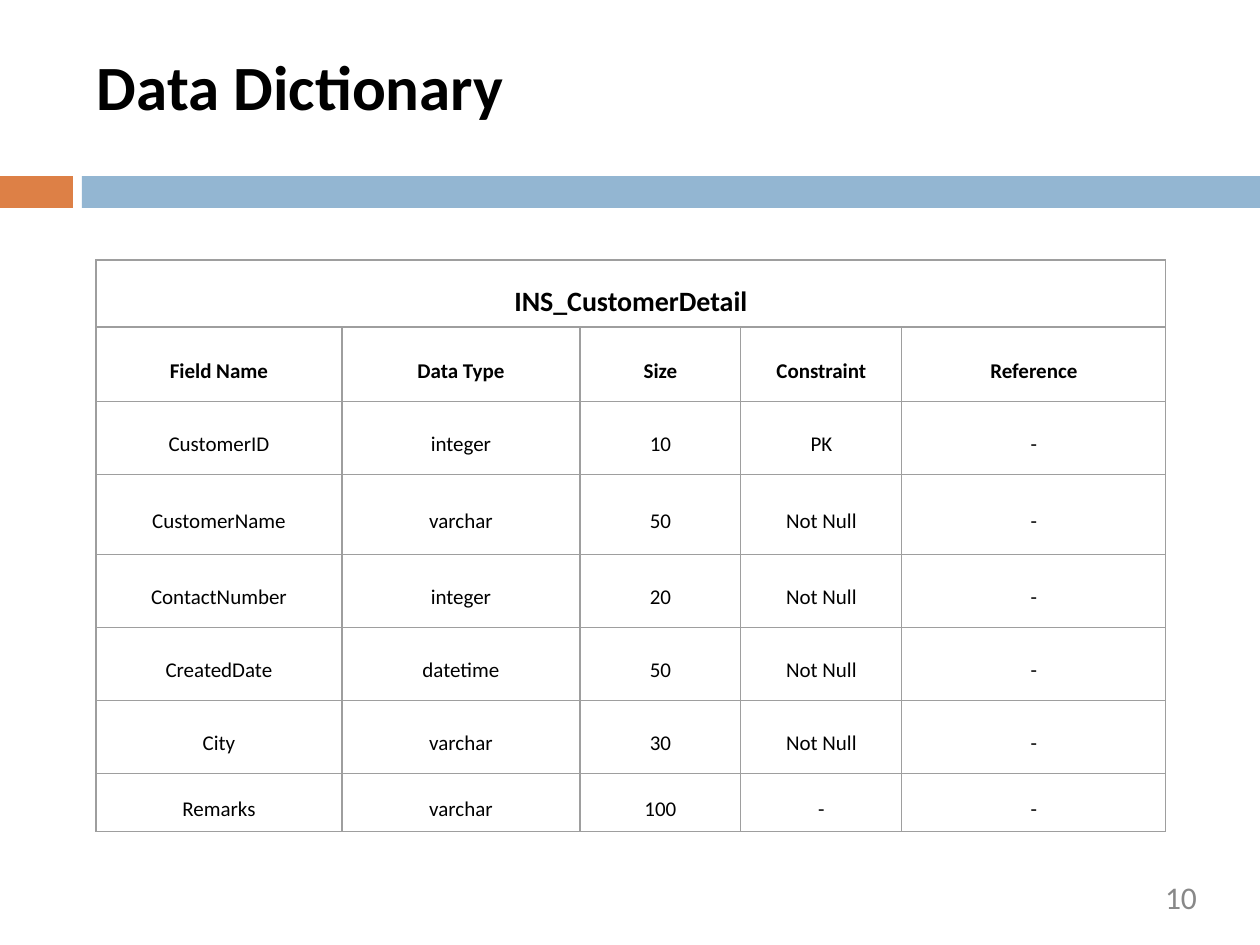
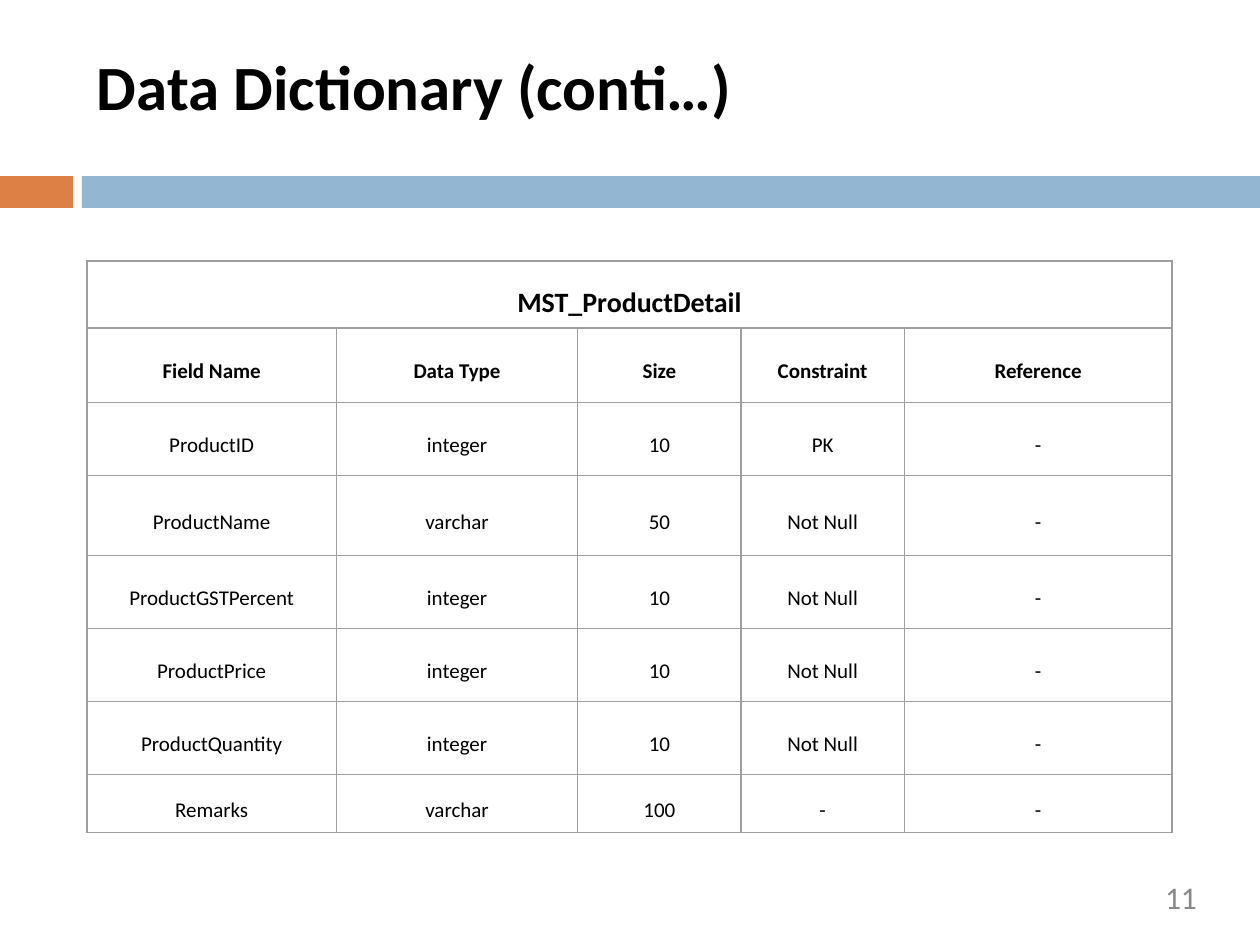
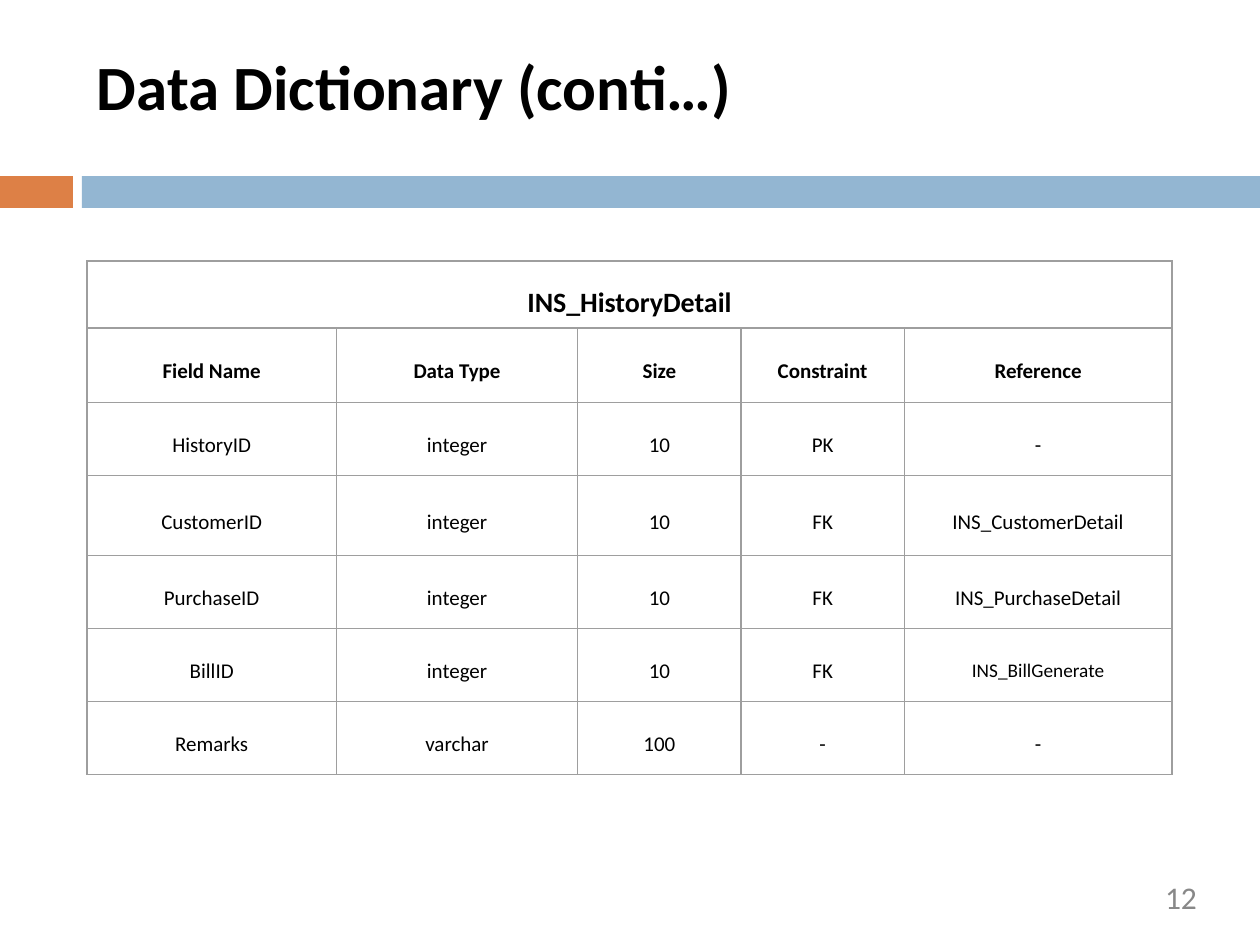
import pptx
import pptx.dml.color
import pptx.enum.shapes
import pptx.enum.text
import pptx.oxml
import pptx.oxml.ns
import pptx.util

PX = 914400 / 126
PAGE_WIDTH, PAGE_HEIGHT = 1260, 945
FONT = "Calibri"
BLACK = pptx.dml.color.RGBColor(0x00, 0x00, 0x00)
GRAY = pptx.dml.color.RGBColor(0x88, 0x88, 0x88)
ORANGE = pptx.dml.color.RGBColor(0xDD, 0x80, 0x46)
BLUE = pptx.dml.color.RGBColor(0x93, 0xB6, 0xD2)
BORDER = pptx.dml.color.RGBColor(0x9E, 0x9E, 0x9E)
ALIGN = pptx.enum.text.PP_ALIGN
ANCHOR = pptx.enum.text.MSO_ANCHOR

TITLE_BOX = (96, 47, 697, 87)
NUMBER_BOX = (907, 878, 290, 48)
BANDS = [((0, 176, 73, 32), ORANGE), ((82, 176, 1178, 32), BLUE)]
COLUMN_SHARES = (246, 238, 161, 161, 264)
ROW_HEIGHTS = (67, 75, 73, 80, 73, 73, 73, 58)
HEADINGS = ("Field Name", "Data Type", "Size", "Constraint", "Reference")
TEXT_SIZES = {"INS_BillGenerate": 11}

# Slide title, page number, table left, top and width, table name, fields
PAGES = [
    ("Data Dictionary", 10, (96, 260, 1070), "INS_CustomerDetail", [
        ("CustomerID", "integer", "10", "PK", "-"),
        ("CustomerName", "varchar", "50", "Not Null", "-"),
        ("ContactNumber", "integer", "20", "Not Null", "-"),
        ("CreatedDate", "datetime", "50", "Not Null", "-"),
        ("City", "varchar", "30", "Not Null", "-"),
        ("Remarks", "varchar", "100", "-", "-"),
    ]),
    ("Data Dictionary (conti…)", 11, (87, 261, 1085), "MST_ProductDetail", [
        ("ProductID", "integer", "10", "PK", "-"),
        ("ProductName", "varchar", "50", "Not Null", "-"),
        ("ProductGSTPercent", "integer", "10", "Not Null", "-"),
        ("ProductPrice", "integer", "10", "Not Null", "-"),
        ("ProductQuantity", "integer", "10", "Not Null", "-"),
        ("Remarks", "varchar", "100", "-", "-"),
    ]),
    ("Data Dictionary (conti…)", 12, (87, 261, 1085), "INS_HistoryDetail", [
        ("HistoryID", "integer", "10", "PK", "-"),
        ("CustomerID", "integer", "10", "FK", "INS_CustomerDetail"),
        ("PurchaseID", "integer", "10", "FK", "INS_PurchaseDetail"),
        ("BillID", "integer", "10", "FK", "INS_BillGenerate"),
        ("Remarks", "varchar", "100", "-", "-"),
    ]),
]


def emu(*lengths):
    return [pptx.util.Emu(round(length * PX)) for length in lengths]


def write(frame, text, size, color=BLACK, bold=False, align=ALIGN.LEFT):
    para = frame.paragraphs[0]
    para.alignment = align
    span = para.add_run()
    span.text = text
    span.font.name = FONT
    span.font.size = pptx.util.Pt(size)
    span.font.bold = bold
    span.font.color.rgb = color
    return para


def set_frame(frame, margin_left=0, margin_top=0):
    frame.word_wrap = True
    frame.auto_size = pptx.enum.text.MSO_AUTO_SIZE.NONE
    frame.vertical_anchor = ANCHOR.TOP
    frame.margin_left, frame.margin_top = emu(margin_left, margin_top)
    frame.margin_right = frame.margin_bottom = 0


def add_bands(page):
    for place, color in BANDS:
        band = page.shapes.add_shape(
            pptx.enum.shapes.MSO_SHAPE.RECTANGLE, *emu(*place))
        band.shadow.inherit = False
        band.fill.solid()
        band.fill.fore_color.rgb = color
        band.line.fill.background()


def set_title(page, text):
    title = page.shapes.title
    title.left, title.top, title.width, title.height = emu(*TITLE_BOX)
    set_frame(title.text_frame, 1, 1)
    write(title.text_frame, text, 36, bold=True)


def add_number(page, number):
    box = page.shapes.add_textbox(*emu(*NUMBER_BOX))
    set_frame(box.text_frame)
    write(box.text_frame, str(number), 18, GRAY, align=ALIGN.RIGHT)


def style_cell(cell, margin):
    cell.margin_left, cell.margin_right = emu(margin, margin)
    cell.margin_top = cell.margin_bottom = 0
    cell.vertical_anchor = ANCHOR.MIDDLE
    properties = cell._tc.get_or_add_tcPr()
    for side in ("lnL", "lnR", "lnT", "lnB"):
        properties.append(pptx.oxml.parse_xml(
            f'<a:{side} {pptx.oxml.ns.nsdecls("a")} w="{pptx.util.Pt(0.75)}">'
            f'<a:solidFill><a:srgbClr val="{BORDER}"/></a:solidFill></a:{side}>'))
    cell.fill.background()


def add_dictionary(page, place, name, fields):
    left, top, width = place
    rows = [(name, "", "", "", ""), HEADINGS, *fields]
    heights = ROW_HEIGHTS[:len(rows)]
    table = page.shapes.add_table(
        len(rows), len(HEADINGS), *emu(left, top, width, sum(heights))).table
    table.first_row = table.horz_banding = False
    for column, share in zip(table.columns, COLUMN_SHARES):
        column.width = emu(width * share / sum(COLUMN_SHARES))[0]
    for row_index, (texts, height) in enumerate(zip(rows, heights)):
        table.rows[row_index].height = emu(height)[0]
        heading = row_index < 2
        for column_index, text in enumerate(texts):
            cell = table.cell(row_index, column_index)
            style_cell(cell, 6 if heading else 9)
            if text:
                size = 16 if row_index == 0 else TEXT_SIZES.get(text, 12)
                para = write(cell.text_frame, text, size, bold=heading,
                             align=ALIGN.CENTER)
                para.line_spacing = 1.5
    table.cell(0, 0).merge(table.cell(0, len(HEADINGS) - 1))


def main():
    deck = pptx.Presentation()
    deck.slide_width, deck.slide_height = emu(PAGE_WIDTH, PAGE_HEIGHT)
    for title, number, place, name, fields in PAGES:
        page = deck.slides.add_slide(deck.slide_layouts[5])
        add_bands(page)
        set_title(page, title)
        add_number(page, number)
        add_dictionary(page, place, name, fields)
    deck.save("out.pptx")


if __name__ == "__main__":
    main()
